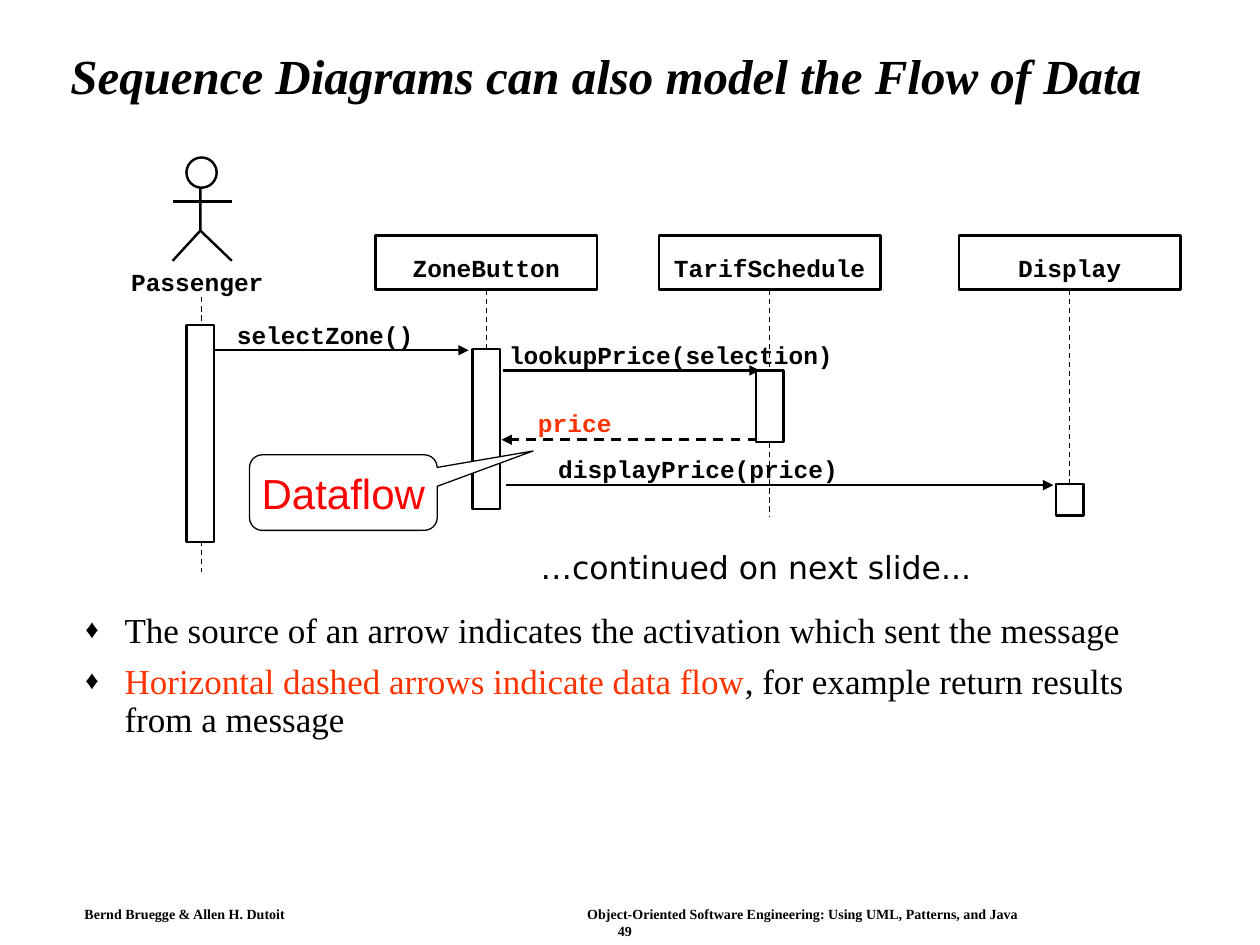
from pptx import Presentation
from pptx.dml.color import RGBColor
from pptx.enum.dml import MSO_LINE
from pptx.enum.shapes import MSO_CONNECTOR, MSO_SHAPE
from pptx.enum.text import MSO_ANCHOR as ANCHOR, PP_ALIGN as ALIGN
from pptx.oxml.ns import qn
from pptx.util import Inches, Pt
from lxml.etree import SubElement

COLORS = {"black": "000000", "white": "FFFFFF", "orange": "FF3300", "red": "FF0000"}
SERIF, MONO = "Times New Roman", "Courier New"
THIN, THICK = 0.75, 1.4

TITLE = "Sequence Diagrams can also model the Flow of Data"
BULLETS = [
    [("The source of an arrow indicates the activation which sent the message", "black")],
    [("Horizontal dashed arrows indicate data flow", "orange"),
     (", for example return results from a message", "black")],
]
FOOTER = [
    ("Bernd Bruegge & Allen H. Dutoit\t"
     "Object-Oriented Software Engineering: Using UML, Patterns, and Java", 3.99, "l"),
    ("\t49", 4.29, "ctr"),
]

# name, centre x, lifeline end, activation top and height
OBJECTS = [
    ("ZoneButton", 3.86, 4.04, 2.77, 1.27),
    ("TarifSchedule", 6.11, 4.1, 2.94, 0.57),
    ("Display", 8.49, 4.01, 3.84, 0.25),
]
# text, label x and y, arrow start x, end x and y, is a return
MESSAGES = [
    ("selectZone()", 1.88, 2.54, 1.69, 3.72, 2.78, False),
    ("lookupPrice(selection)", 4.04, 2.7, 3.99, 6.03, 2.94, False),
    ("displayPrice(price)", 4.43, 3.6, 4.02, 8.36, 3.85, False),
    ("price", 4.27, 3.24, 6.01, 3.98, 3.49, True),
]
ACTOR_X, BAR_W, BOX_W, BOX_H, BOX_Y = 1.6, 0.22, 1.76, 0.43, 1.87
CHAR_W, LABEL_H, LABEL_SLACK = 14 * 0.6 / 72, 0.23, 0.06

prs = Presentation()
prs.slide_width, prs.slide_height = Inches(10), Inches(7.5)
shapes = prs.slides.add_slide(prs.slide_layouts[6]).shapes


def rgb(name):
    return RGBColor.from_string(COLORS[name])


def add_run(p, text, size, font, color="black", bold=False, italic=False):
    r = p.add_run()
    r.text = text
    f = r.font
    f.size, f.name, f.bold, f.italic = Pt(size), font, bold, italic
    f.color.rgb = rgb(color)


def set_frame(sp, insets=(0.1, 0.05, 0.1, 0.05), wrap=True, anchor=ANCHOR.TOP):
    tf = sp.text_frame
    tf.margin_left, tf.margin_top, tf.margin_right, tf.margin_bottom = map(Inches, insets)
    tf.word_wrap, tf.vertical_anchor = wrap, anchor
    return tf


def text_box(x, y, w, h, **frame):
    return set_frame(shapes.add_textbox(*map(Inches, (x, y, w, h))), **frame)


def style(sp, fill="white", width=THICK):
    sp.shadow.inherit = False
    if fill:
        sp.fill.solid()
        sp.fill.fore_color.rgb = rgb(fill)
    else:
        sp.fill.background()
    if width:
        sp.line.color.rgb = rgb("black")
        sp.line.width = Pt(width)
    else:
        sp.line.fill.background()


def shape(kind, x, y, w, h, **look):
    sp = shapes.add_shape(kind, *map(Inches, (x, y, w, h)))
    style(sp, **look)
    return sp


def line(x1, y1, x2, y2, width=THICK, dashed=False, arrow=False):
    c = shapes.add_connector(MSO_CONNECTOR.STRAIGHT, *map(Inches, (x1, y1, x2, y2)))
    c.line.color.rgb = rgb("black")
    c.line.width = Pt(width)
    if dashed:
        c.line.dash_style = MSO_LINE.DASH
    if arrow:
        SubElement(c.line._get_or_add_ln(), qn("a:tailEnd"), type="triangle")
    SubElement(c._element.spPr, qn("a:effectLst"))
    return c


def label(text, x, y, color="black"):
    width = len(text) * CHAR_W + LABEL_SLACK
    tf = text_box(x, y, width, LABEL_H, insets=(0, 0, 0, 0))
    add_run(tf.paragraphs[0], text, 14, MONO, color, bold=True)


def activation(x, y, h):
    shape(MSO_SHAPE.RECTANGLE, x - BAR_W / 2, y, BAR_W, h)


def paragraph(tf, i):
    return tf.add_paragraph() if i else tf.paragraphs[0]


def add_actor():
    line(ACTOR_X, 2.36, ACTOR_X, 4.54, THIN, dashed=True)
    body = [(1.59, 1.42), (1.59, 1.83), (1.37, 2.07)]
    points = [(Inches(x), Inches(y)) for x, y in body]
    builder = shapes.build_freeform(*points[0], scale=1.0)
    builder.add_line_segments(points[1:], close=False)
    style(builder.convert_to_shape(), fill=None)
    line(1.59, 1.83, 1.84, 2.07)
    line(1.37, 1.6, 1.84, 1.6)
    shape(MSO_SHAPE.OVAL, ACTOR_X - 0.12, 1.25, 0.24, 0.24)
    label("Passenger", 1.04, 2.12)
    activation(ACTOR_X - 0.01, 2.58, 1.72)


def add_object(name, x, end, bar_y, bar_h):
    box = shape(MSO_SHAPE.RECTANGLE, x - BOX_W / 2, BOX_Y, BOX_W, BOX_H, fill=None)
    tf = set_frame(box, (0, 0.08, 0, 0), wrap=False, anchor=ANCHOR.MIDDLE)
    tf.paragraphs[0].alignment = ALIGN.CENTER
    add_run(tf.paragraphs[0], name, 14, MONO, bold=True)
    lifeline = line(x, BOX_Y + BOX_H, x, end, THIN, dashed=True)
    lifeline.begin_connect(box, 2)
    activation(x, bar_y, bar_h)


def add_message(text, x, y, start, end, arrow_y, is_return):
    line(start, arrow_y, end, arrow_y, dashed=is_return, arrow=True)
    label(text, x, y, "orange" if is_return else "black")


def add_bullets():
    tf = text_box(0.58, 4.82, 8.75, 1.84)
    for i, runs in enumerate(BULLETS):
        p = paragraph(tf, i)
        p.line_spacing = 0.9
        p.space_before = Pt(7.5 if i else 0)
        pPr = p._p.get_or_add_pPr()
        pPr.set("marL", str(Inches(0.31)))
        pPr.set("indent", str(-Inches(0.31)))
        clr = SubElement(pPr, qn("a:buClr"))
        SubElement(clr, qn("a:srgbClr"), val=COLORS["black"])
        SubElement(pPr, qn("a:buSzPct"), val="75000")
        SubElement(pPr, qn("a:buFont"), typeface=SERIF)
        SubElement(pPr, qn("a:buChar"), char="♦")
        for text, color in runs:
            add_run(p, text, 20, SERIF, color)


def add_footer():
    tf = text_box(0.59, 7.15, 8.65, 0.33, insets=(0.08, 0.04, 0.08, 0.04))
    for i, (text, stop, align) in enumerate(FOOTER):
        p = paragraph(tf, i)
        tabs = SubElement(p._p.get_or_add_pPr(), qn("a:tabLst"))
        SubElement(tabs, qn("a:tab"), pos=str(Inches(stop)), algn=align)
        add_run(p, text, 8, SERIF, bold=True)


def add_callouts():
    sp = shape(MSO_SHAPE.ROUNDED_RECTANGULAR_CALLOUT, 1.98, 3.61, 1.49, 0.6, width=THIN)
    for i, value in enumerate((1.01, -0.55, 0.17)):
        sp.adjustments[i] = value
    note = shape(MSO_SHAPE.RECTANGLE, 2.89, 4.3, 6.22, 0.4, width=None)
    for box, text, size, font, color, wrap in (
        (sp, "Dataflow", 24, "Arial", "red", False),
        (note, "…continued on next slide...", 18, "DejaVu Sans", "black", True),
    ):
        p = set_frame(box, wrap=wrap, anchor=ANCHOR.MIDDLE).paragraphs[0]
        p.alignment = ALIGN.CENTER
        add_run(p, text, size, font, color)


title = text_box(0.46, 0.24, 8.92, 0.77, anchor=ANCHOR.MIDDLE).paragraphs[0]
title.line_spacing = 0.9
add_run(title, TITLE, 28, SERIF, bold=True, italic=True)
add_bullets()
add_actor()
for item in OBJECTS:
    add_object(*item)
for message in MESSAGES:
    add_message(*message)
add_callouts()
add_footer()
prs.save("out.pptx")
